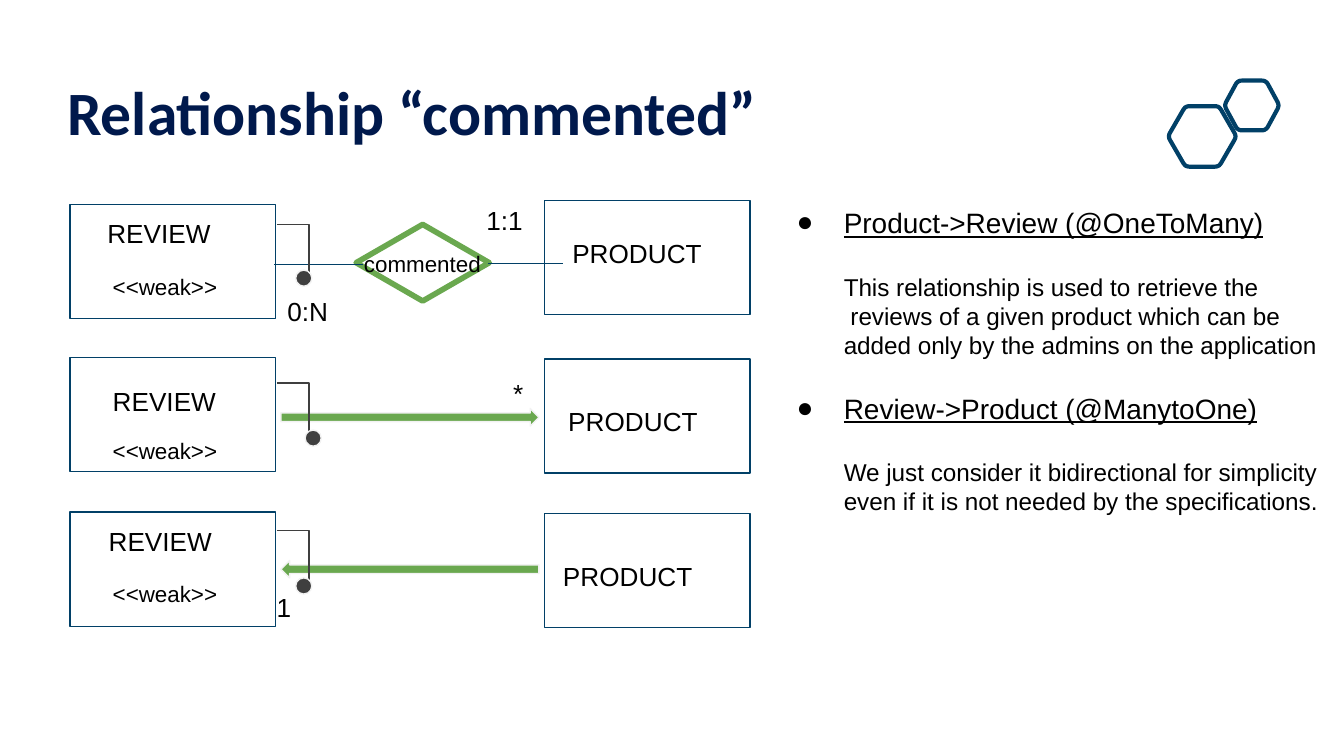
from dataclasses import dataclass
from typing import Optional

from lxml.etree import SubElement
from pptx import Presentation
from pptx.dml.color import RGBColor
from pptx.enum.shapes import MSO_CONNECTOR as Connector, MSO_SHAPE as Shape
from pptx.enum.text import MSO_ANCHOR as Anchor, MSO_AUTO_SIZE as AutoSize, PP_ALIGN as Align
from pptx.oxml.ns import qn
from pptx.util import Inches, Pt

COLORS = {
    "title": "00194C", "navy": "014067", "green": "6AA84F", "gray": "3F3F3F",
    "pale": "F2F2F2", "white": "FFFFFF", "black": "000000",
}
BOX_WIDTH, BOX_HEIGHT = 1.53, 0.85
REVIEW_LEFT, PRODUCT_LEFT = 0.52, 4.05
DOT_SIZE = 0.12
ELBOW_LEFT, ELBOW_RIGHT, ELBOW_HEIGHT = 2.06, 2.3, 0.44
UNITS_PER_INCH = 1000


@dataclass
class Row:
    review_top: float
    product_top: float
    review_label: tuple[float, float]
    weak_top: float
    product_label: tuple[float, float]
    elbow_top: float
    dot: tuple[float, float]


@dataclass
class Label:
    text: str
    left: float
    top: float
    width: float
    size: float = 14


@dataclass
class Note:
    text: str
    size: float
    space_before: float = 0
    heading: bool = False


ROWS = [
    Row(1.52, 1.49, (0.7, 1.52), 1.93, (4.16, 1.67), 1.67, (2.2, 2.01)),
    Row(2.66, 2.67, (0.74, 2.77), 3.15, (4.13, 2.92), 2.85, (2.27, 3.2)),
    Row(3.81, 3.82, (0.71, 3.81), 4.22, (4.09, 4.07), 3.95, (2.2, 4.3)),
]
LABELS = [
    Label("commented", 2.61, 1.76, 1.14, 12),
    Label("1:1", 3.52, 1.42, 0.5),
    Label("0:N", 2.04, 2.1, 0.57),
    Label("*", 3.72, 2.71, 0.45),
    Label("1", 1.96, 4.3, 0.45),
]
NOTES = [
    Note("Product->Review (@OneToMany)", 15, heading=True),
    Note("This relationship is used to retrieve the", 13, 17.5),
    Note(" reviews of a given product which can be added only by the admins"
         " on the application", 13),
    Note("Review->Product (@ManytoOne)", 15, 17, heading=True),
    Note("We just consider it bidirectional for simplicity even if it is not"
         " needed by the specifications.", 13, 17.5),
]


def rgb(name: str) -> RGBColor:
    return RGBColor.from_string(COLORS[name])


def write(paragraph, text: str, *, size: float, font: str = "Arial", color: str = "black",
          bold: bool = False, underline: bool = False) -> None:
    run = paragraph.add_run()
    run.text = text
    run.font.name, run.font.size = font, Pt(size)
    run.font.bold, run.font.underline = bold, underline
    run.font.color.rgb = rgb(color)


def add_text_frame(slide, left: float, top: float, width: float, height: float):
    box = slide.shapes.add_textbox(Inches(left), Inches(top), Inches(width), Inches(height))
    frame = box.text_frame
    frame.word_wrap = True
    frame.auto_size = AutoSize.SHAPE_TO_FIT_TEXT
    frame.margin_left = frame.margin_right = Inches(0.1)
    frame.margin_top = frame.margin_bottom = Inches(0.1)
    return frame


def add_label(slide, label: Label) -> None:
    height = 0.44 if label.size == 14 else 0.4
    frame = add_text_frame(slide, label.left, label.top, label.width, height)
    write(frame.paragraphs[0], label.text, size=label.size)


def paint(shape, fill: Optional[str], line: str, weight: float = 0.75) -> None:
    shape.shadow.inherit = False
    if fill:
        shape.fill.solid()
        shape.fill.fore_color.rgb = rgb(fill)
    else:
        shape.fill.background()
    shape.line.color.rgb = rgb(line)
    shape.line.width = Pt(weight)


def add_figure(slide, kind: Shape, left: float, top: float, width: float, height: float,
               fill: str, line: str, weight: float = 0.75):
    shape = slide.shapes.add_shape(kind, Inches(left), Inches(top), Inches(width), Inches(height))
    paint(shape, fill, line, weight)
    return shape


def add_line(slide, start: tuple[float, float], end: tuple[float, float], color: str,
             kind: Connector = Connector.STRAIGHT) -> None:
    line = slide.shapes.add_connector(kind, *map(Inches, (*start, *end)))
    line.line.color.rgb = rgb(color)
    line.line.width = Pt(0.75)
    properties = line._element.spPr
    SubElement(properties, qn("a:effectLst"))
    if kind == Connector.ELBOW:  # a single bend: across, then down
        properties.find(qn("a:prstGeom")).set("prst", "bentConnector2")


def add_hexagon(slide, left: float, top: float, width: float, height: float,
                inset: float, radius: float = 0.03, steps: int = 5) -> None:
    right, bottom, middle = left + width, top + height, top + height / 2
    corners = [(left, middle), (left + inset, top), (right - inset, top),
               (right, middle), (right - inset, bottom), (left + inset, bottom)]

    def toward(corner, other):
        length = sum((b - a) ** 2 for a, b in zip(corner, other)) ** 0.5
        return [a + (b - a) * radius / length for a, b in zip(corner, other)]

    points = []
    for index, corner in enumerate(corners):
        start = toward(corner, corners[index - 1])
        end = toward(corner, corners[(index + 1) % 6])
        for step in range(steps + 1):
            t = step / steps
            points.append(tuple(
                round(UNITS_PER_INCH * ((1 - t) ** 2 * a + 2 * t * (1 - t) * b + t ** 2 * c))
                for a, b, c in zip(start, corner, end)))
    builder = slide.shapes.build_freeform(*points[0], scale=Inches(1) / UNITS_PER_INCH)
    builder.add_line_segments(points[1:], close=True)
    paint(builder.convert_to_shape(), None, "navy", 2.25)


def add_title(slide, text: str) -> None:
    title = slide.shapes.title
    title.left, title.top, title.width, title.height = map(Inches, (0.43, 0.17, 8.89, 0.94))
    frame = title.text_frame
    frame.auto_size, frame.vertical_anchor = AutoSize.NONE, Anchor.BOTTOM
    frame.margin_left = frame.margin_right = Inches(0.07)
    frame.margin_top, frame.margin_bottom = Inches(0.04), 0
    paragraph = frame.paragraphs[0]
    paragraph.alignment, paragraph.line_spacing = Align.LEFT, 0.9
    write(paragraph, text, size=33, font="Calibri", color="title", bold=True)


def add_notes(slide, notes: list[Note]) -> None:
    frame = add_text_frame(slide, 5.68, 1.43, 4.27, 2.78)
    for index, note in enumerate(notes):
        paragraph = frame.add_paragraph() if index else frame.paragraphs[0]
        paragraph.space_before = Pt(note.space_before)
        properties = paragraph._p.get_or_add_pPr()
        properties.set("marL", str(Inches(0.5)))
        properties.set("indent", str(Inches(-0.35 if note.heading else 0)))
        if note.heading:
            SubElement(properties, qn("a:buFont")).set("typeface", "Arial")
            SubElement(properties, qn("a:buChar")).set("char", "●")
        write(paragraph, note.text, size=note.size, underline=note.heading)


def main() -> None:
    presentation = Presentation()
    presentation.slide_width = Inches(10)
    presentation.slide_height = presentation.slide_width * 9 // 16
    slide = presentation.slides.add_slide(presentation.slide_layouts[5])
    add_title(slide, "Relationship “commented”")

    # Hexagon ornament
    add_hexagon(slide, 8.69, 0.79, 0.51, 0.45, 0.13)
    add_hexagon(slide, 9.11, 0.6, 0.41, 0.37, 0.1)

    # Relationship diamond and entity boxes
    add_figure(slide, Shape.DIAMOND, 2.65, 1.67, 0.99, 0.57, "white", "green", 3)
    for row in ROWS:
        for left, top in ((REVIEW_LEFT, row.review_top), (PRODUCT_LEFT, row.product_top)):
            add_figure(slide, Shape.RECTANGLE, left, top, BOX_WIDTH, BOX_HEIGHT, "white", "navy")

    # Direction arrows
    for top, rotation in ((3.04, 0), (4.17, 180)):
        arrow = add_figure(slide, Shape.RIGHT_ARROW, 2.09, top, 1.92, 0.13, "green", "pale")
        arrow.rotation = rotation

    # Labels and notes
    for row in ROWS:
        add_label(slide, Label("REVIEW", *row.review_label, 1.08))
        add_label(slide, Label("<<weak>>", 0.74, row.weak_top, 1.08, 12))
        add_label(slide, Label("PRODUCT", *row.product_label, 1.47))
    for label in LABELS:
        add_label(slide, label)
    add_notes(slide, NOTES)

    # Lines beside the diamond, and weak-entity markers
    add_line(slide, (2.04, 1.97), (2.7, 1.97), "navy")
    add_line(slide, (3.63, 1.96), (4.19, 1.96), "navy")
    for row in ROWS:
        add_line(slide, (ELBOW_LEFT, row.elbow_top),
                 (ELBOW_RIGHT, row.elbow_top + ELBOW_HEIGHT), "gray", Connector.ELBOW)
        add_figure(slide, Shape.OVAL, *row.dot, DOT_SIZE, DOT_SIZE, "gray", "pale")

    presentation.save("out.pptx")


if __name__ == "__main__":
    main()
